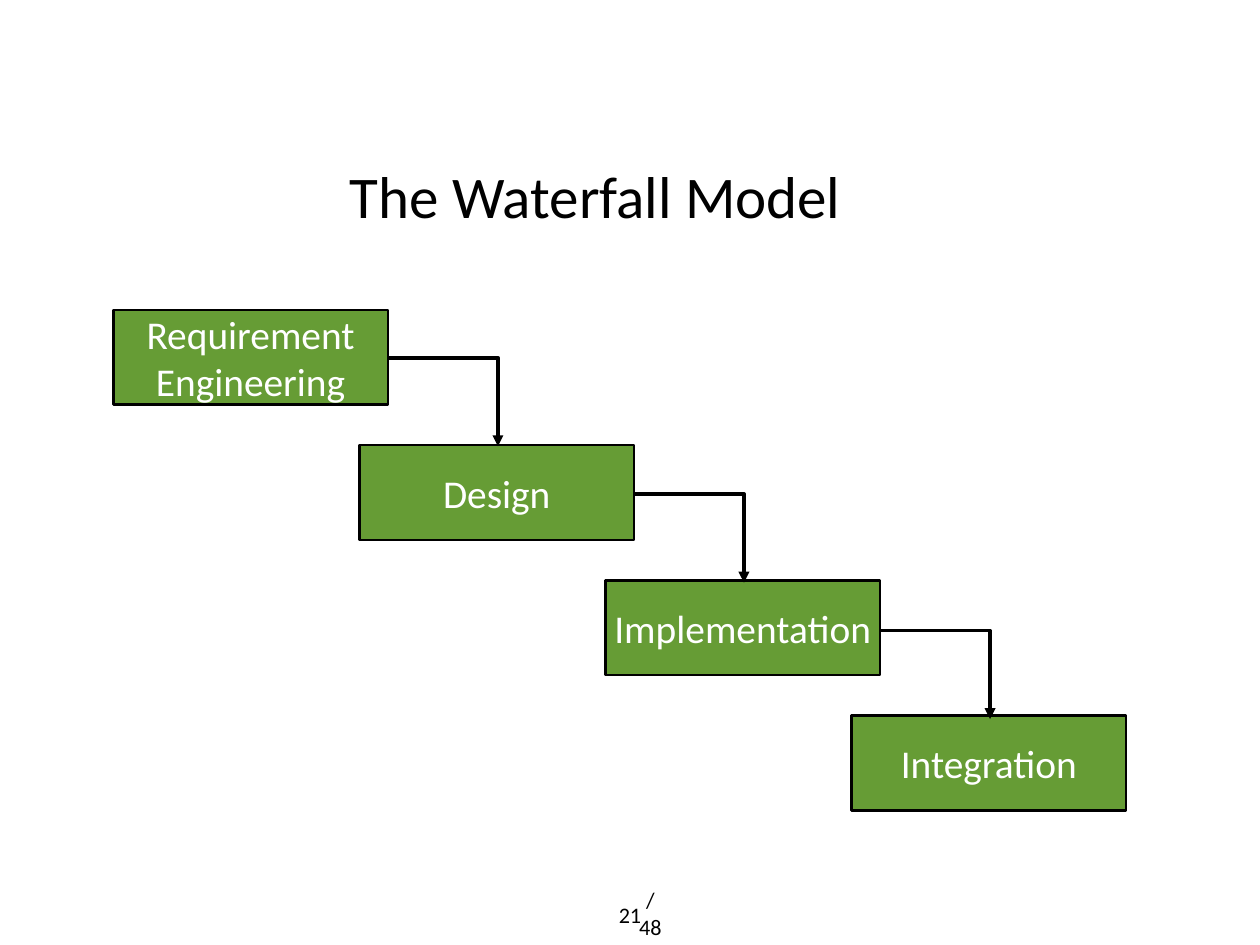
from pptx import Presentation
from pptx.dml.color import RGBColor
from pptx.enum.shapes import MSO_SHAPE as Shape
from pptx.enum.text import MSO_ANCHOR as Anchor, PP_ALIGN as Align
from pptx.oxml.ns import qn
from pptx.util import Inches, Pt
from lxml.etree import SubElement

BLACK = RGBColor(0, 0, 0)
WHITE = RGBColor(255, 255, 255)
GREEN = RGBColor(0x66, 0x9C, 0x35)

deck = Presentation()
deck.slide_width, deck.slide_height = Inches(14.22), Inches(10.67)
slide = deck.slides.add_slide(deck.slide_layouts[6])
shapes = slide.shapes


def write(shape, text, size, color, anchor=Anchor.MIDDLE, wrap=True):
    frame = shape.text_frame
    frame.word_wrap = wrap
    frame.vertical_anchor = anchor
    frame.margin_left = frame.margin_right = Inches(0.06)
    frame.margin_top = frame.margin_bottom = Inches(0.06)
    para = frame.paragraphs[0]
    para.text = text
    para.alignment = Align.CENTER
    para.font.name = "Calibri"
    para.font.size = Pt(size)
    para.font.color.rgb = color


# Title
title = shapes.add_textbox(Inches(1), Inches(1.08), Inches(11.44), Inches(2.24))
write(title, "The Waterfall Model", 48, BLACK)

# Phases, each one step right and down
phases = ["Requirement Engineering", "Design", "Implementation", "Integration"]
for i, name in enumerate(phases):
    box = shapes.add_shape(Shape.RECTANGLE, Inches(1.28 + 2.777 * i),
                           Inches(3.5 + 1.527 * i), Inches(3.1), Inches(1.07))
    box.shadow.inherit = False
    box.fill.solid()
    box.fill.fore_color.rgb = GREEN
    box.line.color.rgb = BLACK
    box.line.width = Pt(2)
    write(box, name, 32, WHITE)

# Elbow arrows between phases
for i in range(len(phases) - 1):
    left, top = Inches(4.39 + 2.777 * i), Inches(4.04 + 1.54 * i)
    right, low = left + Inches(1.23), top + Inches(1)
    pen = shapes.build_freeform(left, top)
    pen.add_line_segments([(right, top), (right, low)], close=False)
    arrow = pen.convert_to_shape()
    arrow.shadow.inherit = False
    arrow.fill.background()
    arrow.line.color.rgb = BLACK
    arrow.line.width = Pt(3)
    SubElement(arrow.line._get_or_add_ln(), qn("a:tailEnd"), type="triangle")

# Page number and total
page = shapes.add_textbox(Inches(6.92), Inches(10.12), Inches(0.38), Inches(0.4))
write(page, "21", 18, BLACK, Anchor.TOP, False)
total = shapes.add_textbox(Inches(7.14), Inches(10.11), Inches(0.4), Inches(0.4))
write(total, "/48", 18, BLACK)

deck.save("out.pptx")
